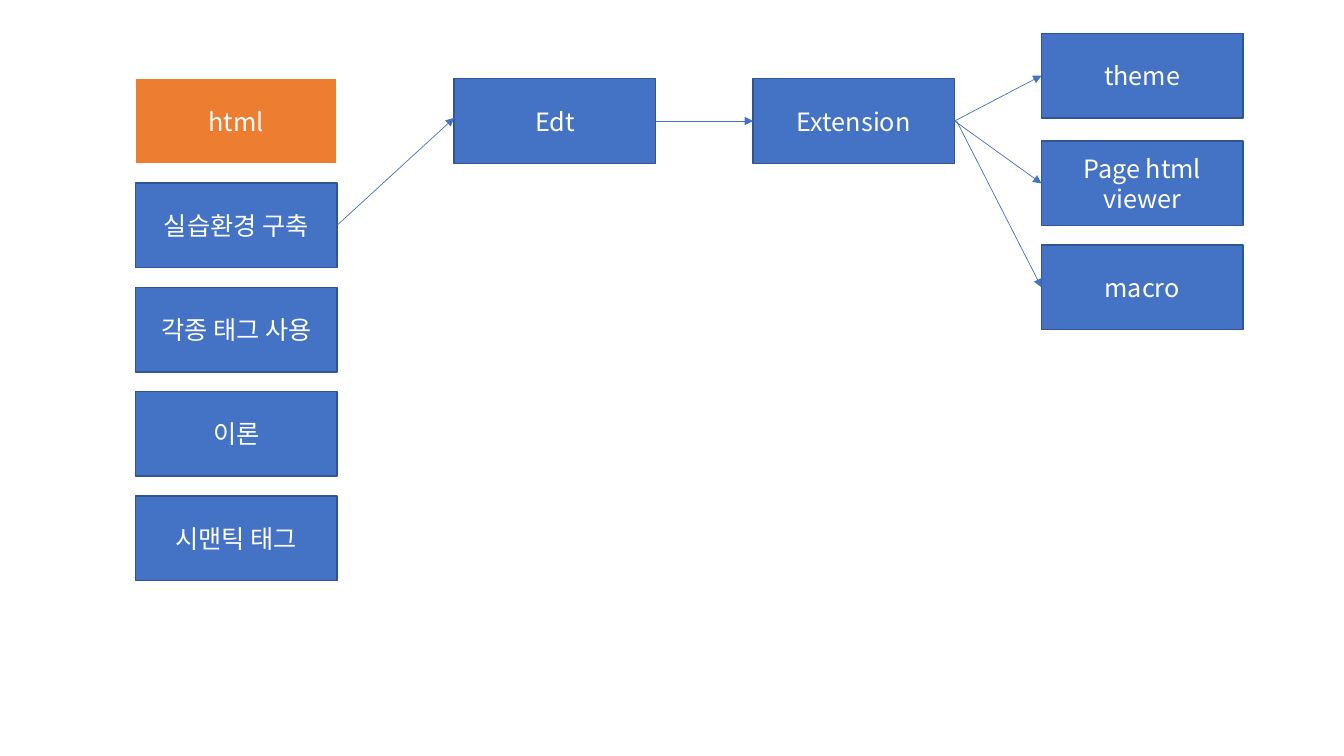
from pptx import Presentation
from pptx.dml.color import RGBColor
from pptx.enum.shapes import MSO_CONNECTOR, MSO_SHAPE
from pptx.enum.text import MSO_ANCHOR, PP_ALIGN
from pptx.oxml.ns import qn
from pptx.util import Pt
from lxml.etree import SubElement

COLORS = {"blue": "4472C4", "edge": "325491", "orange": "ED7D31", "white": "FFFFFF"}
FACE = "Noto Sans CJK KR"
WIDE, HIGH = 144, 60.5
TOP, STEP = 56.2, 74.5
LEFT, EDIT, EXT, TOOL = 96.8, 324.4, 537.9, 743.9

deck = Presentation()
deck.slide_width, deck.slide_height = Pt(960), Pt(540)
slide = deck.slides.add_slide(deck.slide_layouts[6])


def color(name):
    return RGBColor.from_string(COLORS[name])


def add_box(text, x, y, fill="blue", edge="edge"):
    box = slide.shapes.add_shape(MSO_SHAPE.RECTANGLE, Pt(x), Pt(y), Pt(WIDE), Pt(HIGH))
    box.shadow.inherit = False
    box.fill.solid()
    box.fill.fore_color.rgb = color(fill)
    box.line.color.rgb = color(edge)
    box.line.width = Pt(1)
    frame = box.text_frame
    frame.word_wrap = True
    frame.vertical_anchor = MSO_ANCHOR.MIDDLE
    para = frame.paragraphs[0]
    para.alignment = PP_ALIGN.CENTER
    run = para.add_run()
    run.text = text
    for key, value in {"name": FACE, "size": Pt(18)}.items():
        setattr(run.font, key, value)
    run.font.color.rgb = color("white")
    # Hangul takes the East Asian font
    SubElement(run.font._element, qn("a:ea"), typeface=FACE)


# Topic column
add_box("html", LEFT, TOP, "orange", "white")
topics = ["실습환경 구축", "각종 태그 사용", "이론", "시맨틱 태그"]
for row, topic in enumerate(topics, 1):
    add_box(topic, LEFT, TOP + row * STEP)

# Editor and its extensions
add_box("Edt", EDIT, TOP)
add_box("Extension", EXT, TOP)
tools = {"theme": 23.8, "Page html viewer": 100.8, "macro": 175}
for tool, y in tools.items():
    add_box(tool, TOOL, y)

# Arrows: start x, start y, end x, end y
mid = TOP + HIGH / 2
arrows = [
    (LEFT + WIDE, mid + STEP, EDIT, 84.2),
    (EDIT + WIDE, mid, EXT, mid),
    (EXT + WIDE, mid, TOOL, 54),
    (EXT + WIDE, mid, TOOL, 131),
    (EXT + WIDE + 1.4, mid, TOOL, 205.2),
]
for ends in arrows:
    arrow = slide.shapes.add_connector(MSO_CONNECTOR.STRAIGHT, *map(Pt, ends))
    arrow.line.color.rgb = color("blue")
    arrow.line.width = Pt(0.5)
    SubElement(arrow.line._get_or_add_ln(), qn("a:tailEnd"), type="triangle")
    SubElement(arrow._element.spPr, qn("a:effectLst"))

deck.save("out.pptx")
